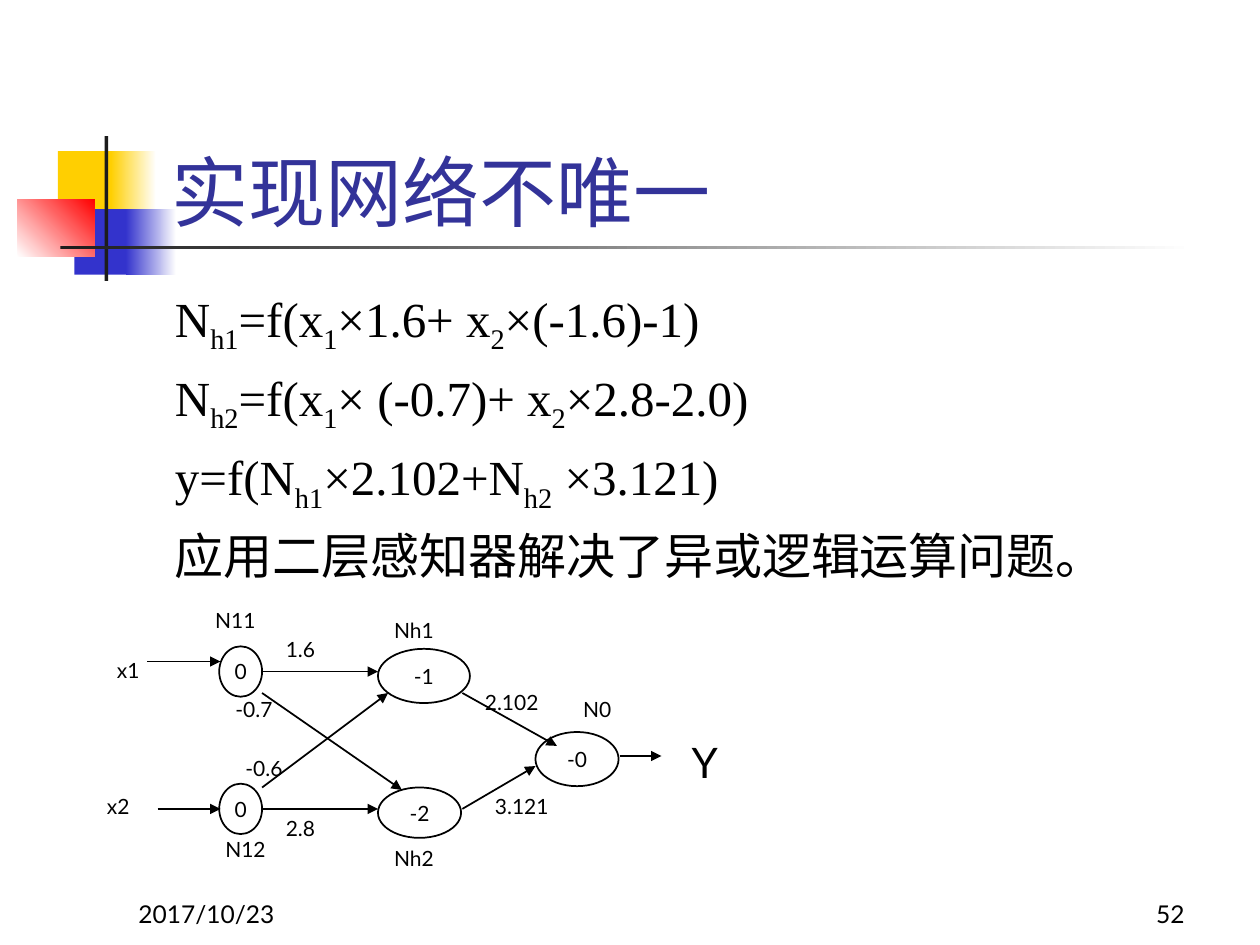
from dataclasses import dataclass

from lxml import etree
from pptx import Presentation
from pptx.dml.color import RGBColor
from pptx.enum.shapes import MSO_CONNECTOR, MSO_SHAPE
from pptx.enum.text import MSO_ANCHOR, MSO_AUTO_SIZE, PP_ALIGN
from pptx.oxml.ns import qn
from pptx.util import Pt

EMU_PER_PX = 9144  # 100 px to the inch
TITLE_ONLY_LAYOUT = 5
RECTANGLE, ELLIPSE = MSO_SHAPE.RECTANGLE, MSO_SHAPE.OVAL
STRAIGHT = MSO_CONNECTOR.STRAIGHT
TOP, MIDDLE, BOTTOM = MSO_ANCHOR.TOP, MSO_ANCHOR.MIDDLE, MSO_ANCHOR.BOTTOM
LEFT, CENTER, RIGHT = PP_ALIGN.LEFT, PP_ALIGN.CENTER, PP_ALIGN.RIGHT


@dataclass(frozen=True)
class Theme:
    sans: str = "Lato"
    serif: str = "Times New Roman"
    text: str = "000000"
    title: str = "333399"
    white: str = "FFFFFF"
    yellow: str = "FFCF01"
    blue: str = "3333CC"
    red: str = "FF0000"
    dark: str = "1C1C1C"
    title_size: int = 44
    body_size: int = 28
    output_size: int = 24
    footer_size: int = 14
    label_size: int = 12


def px(*lengths):
    return [length * EMU_PER_PX for length in lengths]


class SlideBuilder:
    def __init__(self, slide, theme):
        self.slide = slide
        self.theme = theme

    def style(self, paragraph, size, font=None, color=None, align=LEFT):
        paragraph.alignment = align
        for run in paragraph.runs:
            run.font.name = font or self.theme.sans
            run.font.size = Pt(size)
            run.font.color.rgb = RGBColor.from_string(color or self.theme.text)

    def title(self, text, *box):
        title = self.slide.shapes.title
        title.left, title.top, title.width, title.height = px(*box)
        frame = title.text_frame
        frame.text = text
        frame.auto_size = MSO_AUTO_SIZE.NONE
        frame.vertical_anchor = BOTTOM
        self.style(frame.paragraphs[0], self.theme.title_size, color=self.theme.title)

    def block(self, box, start, end=None, angle=0):
        """Draw a rectangle, fading from start to end when end is given."""
        shape = self.slide.shapes.add_shape(RECTANGLE, *px(*box))
        shape.shadow.inherit = False
        shape.line.fill.background()
        if end is None:
            shape.fill.solid()
            shape.fill.fore_color.rgb = RGBColor.from_string(start)
            return
        shape.fill.gradient()
        shape.fill.gradient_angle = angle
        for stop, color in zip(shape.fill.gradient_stops, (start, end)):
            stop.color.rgb = RGBColor.from_string(color)

    def text(self, text, *box, size=None, align=LEFT, anchor=TOP):
        frame = self.slide.shapes.add_textbox(*px(*box)).text_frame
        frame.word_wrap = True
        frame.vertical_anchor = anchor
        frame.text = text
        self.style(frame.paragraphs[0], size or self.theme.label_size, align=align)

    def formulas(self, lines, *box):
        """Write one paragraph per line; every second part between bars is a subscript."""
        frame = self.slide.shapes.add_textbox(*px(*box)).text_frame
        frame.word_wrap = True
        for index, line in enumerate(lines):
            paragraph = frame.add_paragraph() if index else frame.paragraphs[0]
            if index:
                paragraph.space_before = Pt(7)
            for position, part in enumerate(line.split("|")):
                run = paragraph.add_run()
                run.text = part
                if position % 2:
                    run.font._element.set("baseline", "-25000")
            self.style(paragraph, self.theme.body_size, self.theme.serif)

    def neuron(self, text, *box):
        shape = self.slide.shapes.add_shape(ELLIPSE, *px(*box))
        shape.shadow.inherit = False
        shape.fill.background()
        shape.line.color.rgb = RGBColor.from_string(self.theme.text)
        shape.line.width = Pt(1)
        frame = shape.text_frame
        frame.margin_left = frame.margin_right = frame.margin_top = frame.margin_bottom = 0
        frame.word_wrap = False
        frame.vertical_anchor = MIDDLE
        frame.text = text
        self.style(frame.paragraphs[0], self.theme.label_size, align=CENTER)

    def arrow(self, *ends):
        connector = self.slide.shapes.add_connector(STRAIGHT, *px(*ends))
        connector.line.color.rgb = RGBColor.from_string(self.theme.text)
        connector.line.width = Pt(1)
        line = connector.line._get_or_add_ln()
        etree.SubElement(line, qn("a:tailEnd"), type="triangle")
        etree.SubElement(connector._element.spPr, qn("a:effectLst"))


BODY = [
    "N|h1|=f(x|1|×1.6+ x|2|×(-1.6)-1)",
    "N|h2|=f(x|1|× (-0.7)+ x|2|×2.8-2.0)",
    "y=f(N|h1|×2.102+N|h2| ×3.121)",
    "应用二层感知器解决了异或逻辑运算问题。",
]
NEURONS = [
    ("0", 174, 513, 34, 40),
    ("-1", 300, 515, 73, 43),
    ("0", 174, 622, 34, 40),
    ("-2", 300, 625, 66, 40),
    ("-0", 425, 581, 66, 43),
]
ARROWS = [
    (117, 525, 175, 525),
    (208, 533, 300, 533),
    (208, 642, 300, 642),
    (125, 642, 175, 642),
    (367, 550, 442, 592),
    (367, 642, 425, 608),
    (208, 625, 308, 550),
    (208, 550, 319, 627),
    (492, 600, 525, 600),
]
LABELS = [
    ("x1", 83, 517), ("x2", 75, 625),
    ("1.6", 217, 500), ("2.8", 217, 642),
    ("-0.7", 177, 548), ("-0.6", 185, 595),
    ("2.102", 375, 542), ("3.121", 383, 625),
    ("Nh1", 303, 485), ("Nh2", 303, 666),
    ("N11", 161, 477), ("N12", 169, 659), ("N0", 453, 548),
]


def main():
    presentation = Presentation()
    presentation.slide_width, presentation.slide_height = px(1000, 750)
    layout = presentation.slide_layouts[TITLE_ONLY_LAYOUT]
    theme = Theme()
    builder = SlideBuilder(presentation.slides.add_slide(layout), theme)

    builder.block((46, 120, 48, 52), theme.yellow)
    builder.block((88, 120, 36, 52), theme.yellow, theme.white)
    builder.block((59, 166, 46, 52), theme.blue)
    builder.block((100, 166, 40, 52), theme.blue, theme.white)
    builder.block((14, 158, 61, 46), theme.white, theme.red, angle=45)
    builder.block((83, 108, 3, 115), theme.dark)
    builder.block((48, 195, 900, 3), theme.dark, theme.white)

    builder.text("2017/10/23", 100, 692, 208, 50, size=theme.footer_size, anchor=BOTTOM)
    builder.text("52", 742, 692, 208, 50, size=theme.footer_size, align=RIGHT, anchor=BOTTOM)
    builder.title("实现网络不唯一", 126, 68, 852, 125)
    builder.formulas(BODY, 129, 224, 812, 233)

    for neuron in NEURONS:
        builder.neuron(*neuron)
    for arrow in ARROWS:
        builder.arrow(*arrow)
    for text, left, top in LABELS:
        builder.text(text, left, top, 83, 30)
    builder.text("Y", 539, 580, 236, 50, size=theme.output_size)

    presentation.save("out.pptx")


if __name__ == "__main__":
    main()
